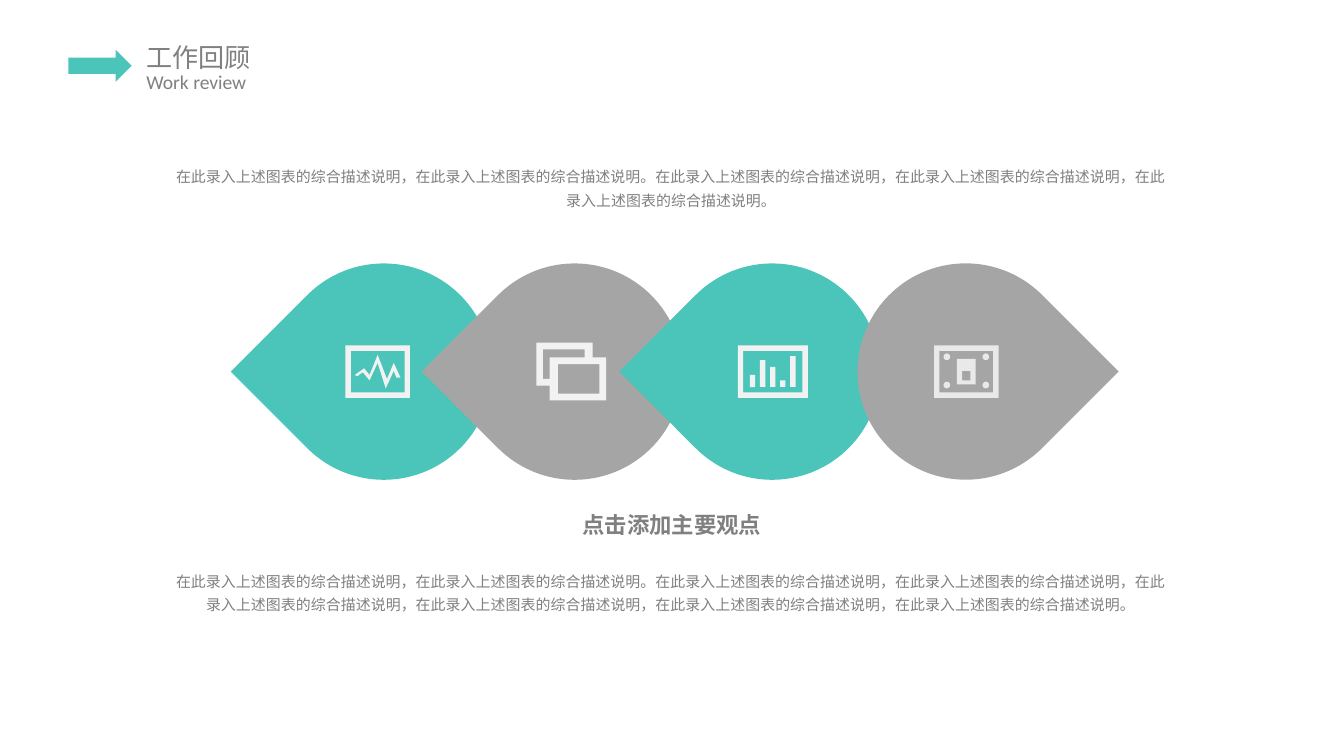
from lxml.etree import SubElement
from pptx import Presentation
from pptx.dml.color import RGBColor
from pptx.enum.shapes import MSO_SHAPE as Preset
from pptx.enum.text import MSO_AUTO_SIZE as AutoSize, PP_ALIGN as Align
from pptx.oxml.ns import qn
from pptx.util import Inches, Pt

TEAL = RGBColor(0x4B, 0xC5, 0xB9)
GRAY = RGBColor(0xA5, 0xA5, 0xA5)
TEXT_GRAY = RGBColor(0x80, 0x80, 0x80)
OFF_WHITE = RGBColor(0xF2, 0xF2, 0xF2)
PALE_GRAY = RGBColor(0xE9, 0xE9, 0xE9)
CJK_FONT = "Noto Sans CJK SC"
LATIN_FONT = "Calibri"


def box(left, top, right, bottom):
    """Corner points of a rectangular contour."""
    return [(left, top), (left, bottom), (right, bottom), (right, top)]


class SlideBuilder:
    def __init__(self, slide):
        self.slide = slide
        self.shapes = slide.shapes

    def start_group(self):
        self.shapes = self.slide.shapes.add_group_shape().shapes

    def end_group(self):
        self.shapes = self.slide.shapes

    def paint(self, shape, color):
        shape.shadow.inherit = False
        shape.fill.solid()
        shape.fill.fore_color.rgb = color
        shape.line.fill.background()

    def preset(self, kind, left, top, width, height, color, rotation=0):
        shape = self.shapes.add_shape(
            kind, Inches(left), Inches(top), Inches(width), Inches(height))
        shape.rotation = rotation
        self.paint(shape, color)

    def outline(self, color, *contours):
        """One filled shape; contours after the first cut holes."""
        contours = [[(Inches(x), Inches(y)) for x, y in c] for c in contours]
        first, *holes = contours
        builder = self.shapes.build_freeform(*first[0])
        builder.add_line_segments(first[1:], close=True)
        for hole in holes:
            builder.move_to(*hole[0])
            builder.add_line_segments(hole[1:], close=True)
        self.paint(builder.convert_to_shape(), color)

    def frame(self, left, right, color):
        top, bottom, edge = 2.57, 2.96, 0.04
        self.outline(color, box(left, top, right, bottom),
                     box(left + edge, top + edge, right - edge, bottom - edge))

    def text(self, words, left, top, width, height, size, font=CJK_FONT,
             align=Align.LEFT, bold=False, wrap=False, spacing=None,
             inset=(0.07, 0.04)):
        frame = self.shapes.add_textbox(
            Inches(left), Inches(top), Inches(width), Inches(height)).text_frame
        frame.word_wrap = wrap
        frame.auto_size = AutoSize.SHAPE_TO_FIT_TEXT
        frame.margin_left = frame.margin_right = Inches(inset[0])
        frame.margin_top = frame.margin_bottom = Inches(inset[1])
        paragraph = frame.paragraphs[0]
        paragraph.text = words
        paragraph.alignment = align
        if spacing:
            paragraph.line_spacing = spacing
        paragraph.font.size = Pt(size)
        paragraph.font.bold = bold
        paragraph.font.color.rgb = TEXT_GRAY
        paragraph.font.name = font
        # East Asian characters take their own typeface
        defaults = paragraph._p.pPr.find(qn("a:defRPr"))
        SubElement(defaults, qn("a:ea")).set("typeface", font)


def description(clauses):
    """Two clauses in the first sentence, the rest in the second."""
    clause = "在此录入上述图表的综合描述说明"
    return "".join("，".join([clause] * count) + "。" for count in (2, clauses - 2))


def main():
    deck = Presentation()
    # Widescreen, 16:9
    deck.slide_width, deck.slide_height = Inches(10), Inches(10 * 9 / 16)
    page = SlideBuilder(deck.slides.add_slide(deck.slide_layouts[6]))

    # Header
    page.text("工作回顾", 0.98, 0.26, 1, 0.34, 14, inset=(0.11, 0.05))
    page.text("Work review", 0.98, 0.47, 0.98, 0.28, 10.5, LATIN_FONT,
              inset=(0.11, 0.05))
    page.preset(Preset.RIGHT_ARROW, 0.51, 0.37, 0.47, 0.24, TEAL)

    # Drops: three point left, the last one points right
    drop_top, drop_size = 1.96, 1.61

    def start_drop(left, color, rotation=225):
        page.start_group()
        page.preset(Preset.TEAR, left, drop_top, drop_size, drop_size,
                    color, rotation)

    # Pulse icon
    start_drop(2.05, TEAL)
    page.outline(OFF_WHITE, [
        (2.67, 2.79), (2.7, 2.77), (2.75, 2.83), (2.81, 2.7), (2.87, 2.89),
        (2.93, 2.76), (2.95, 2.81), (2.98, 2.81), (2.93, 2.7), (2.88, 2.82),
        (2.81, 2.64), (2.75, 2.79), (2.71, 2.74), (2.64, 2.79), (2.66, 2.8)])
    page.frame(2.57, 3.05, OFF_WHITE)

    # Overlapping windows icon
    start_drop(3.47, GRAY)
    page.outline(
        OFF_WHITE,
        [(4.41, 2.66), (4.41, 2.55), (3.99, 2.55), (3.99, 2.87),
         (4.09, 2.87), (4.09, 2.98), (4.51, 2.98), (4.51, 2.66)],
        [(4.04, 2.82), (4.04, 2.6), (4.35, 2.6), (4.35, 2.66),
         (4.09, 2.66), (4.09, 2.82)],
        box(4.15, 2.71, 4.46, 2.93))

    # Bar icon
    start_drop(4.94, TEAL)
    bars_left, bars_pitch, bars_base = 5.58, 0.3 / 4, 2.88
    for index, height in enumerate((0.09, 0.2, 0.15, 0.05, 0.23)):
        page.preset(Preset.RECTANGLE, bars_left + bars_pitch * index,
                    bars_base - height, 0.04, height, OFF_WHITE)
    page.frame(5.49, 6.01, OFF_WHITE)

    # Panel icon with a bolt in each corner
    start_drop(6.38, GRAY, rotation=45)
    page.frame(6.95, 7.43, PALE_GRAY)
    for bolt_top in (2.63, 2.84):
        for bolt_left in (7.02, 7.31):
            page.preset(Preset.OVAL, bolt_left, bolt_top, 0.05, 0.05, PALE_GRAY)
    page.outline(PALE_GRAY, box(7.12, 2.67, 7.26, 2.86),
                 box(7.16, 2.76, 7.22, 2.83))
    page.end_group()

    # Key point and descriptions
    page.text("点击添加主要观点", 4.25, 3.76, 1.5, 0.28, 12,
              align=Align.CENTER, bold=True)
    for top, clauses in ((1.17, 5), (4.18, 8)):
        page.text(description(clauses), 1.23, top, 7.53, 0.43, 8,
                  align=Align.CENTER, wrap=True, spacing=1.3)

    deck.save("out.pptx")


if __name__ == "__main__":
    main()
